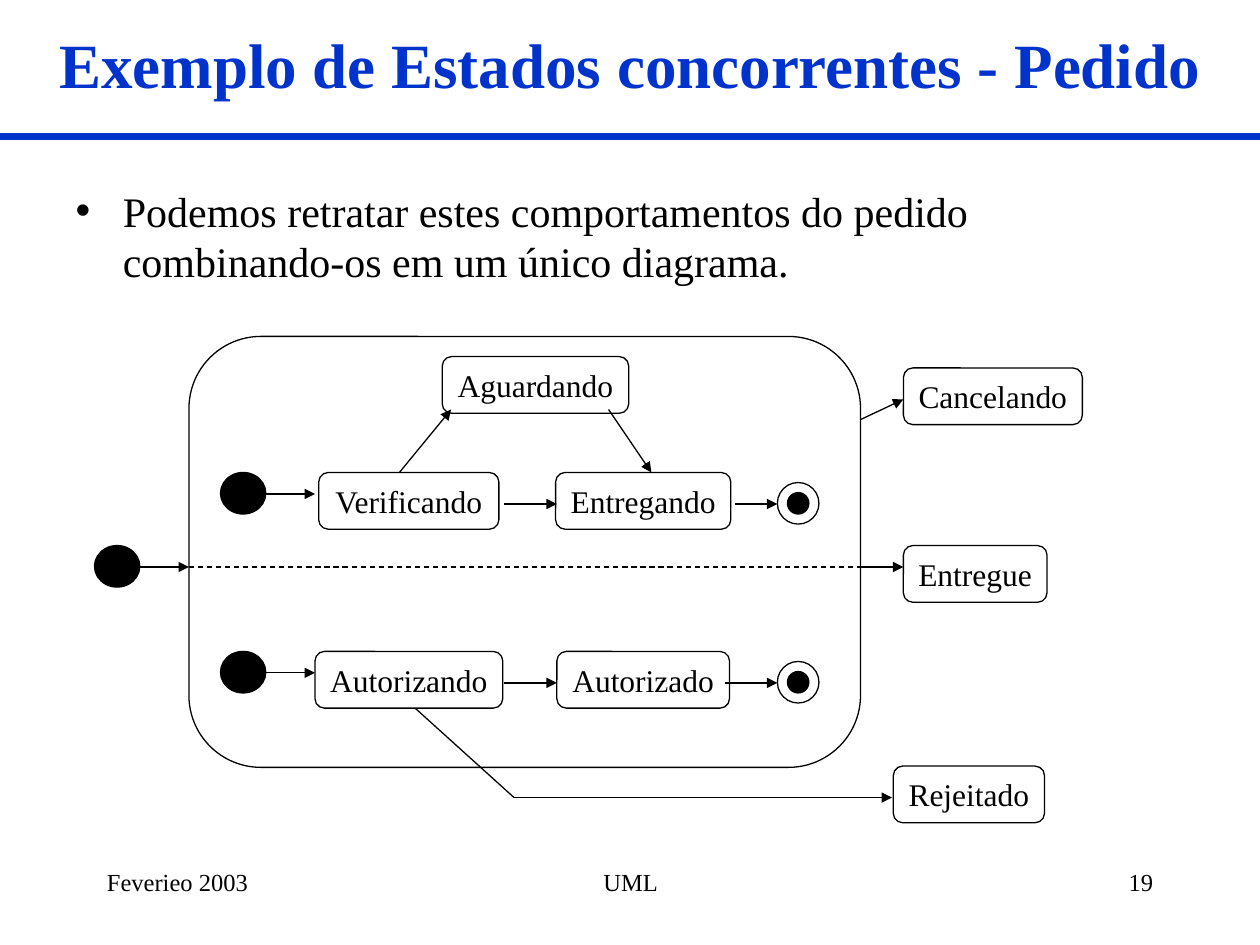
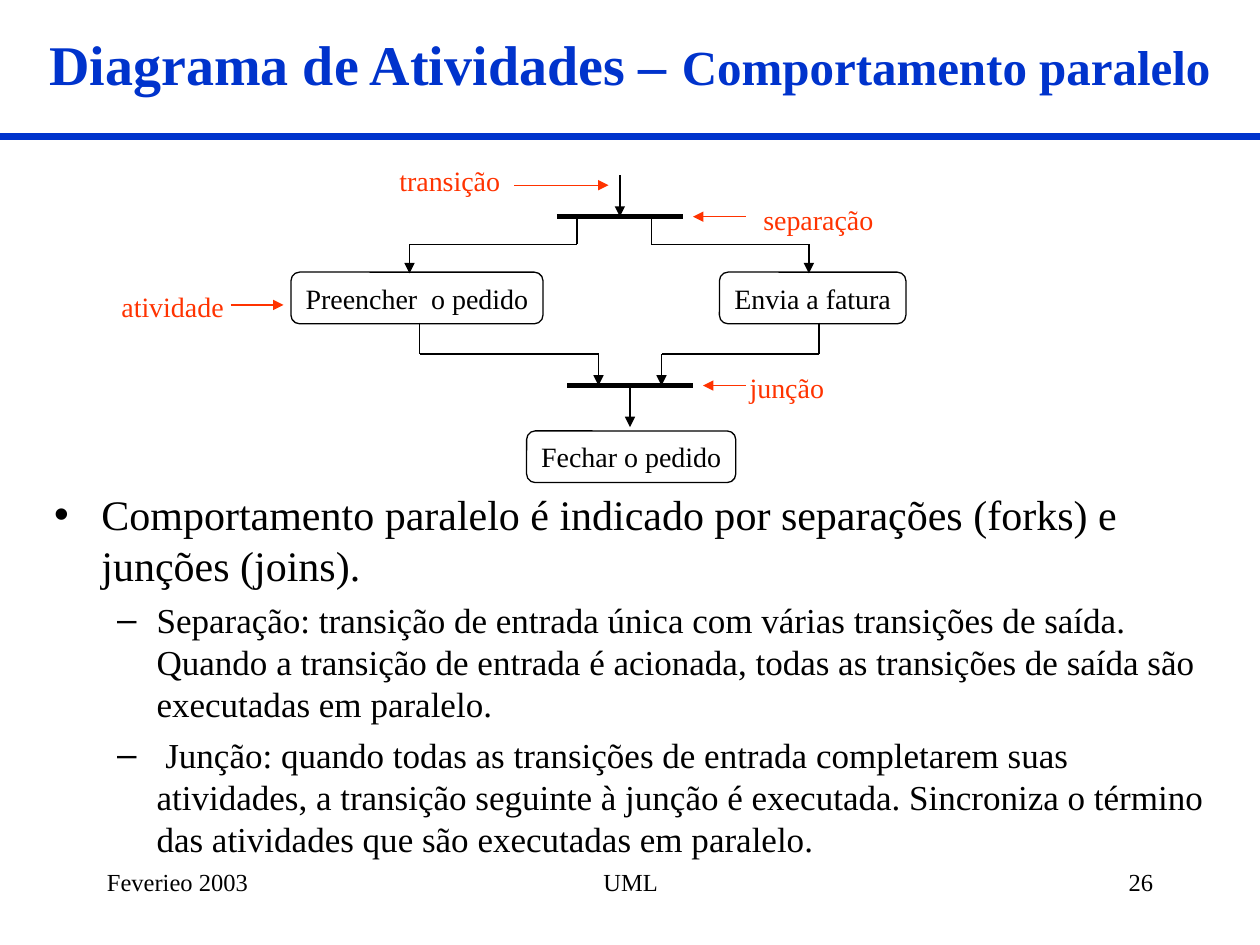
from pptx import Presentation
from pptx.dml.color import RGBColor
from pptx.enum import dml, shapes, text
from pptx.oxml.ns import qn
from pptx.util import Inches, Pt
from lxml import etree

COLORS = {"blue": "0033CC", "black": "000000", "red": "FF3300", "white": "FFFFFF"}
FONT = "Times New Roman"
LEFT, CENTER, RIGHT = text.PP_ALIGN.LEFT, text.PP_ALIGN.CENTER, text.PP_ALIGN.RIGHT
BOX_H = {18: 0.45, 16: 0.41}


def rgb(name):
    return RGBColor.from_string(COLORS[name])


# Text
def write(p, content, size=18, color="black", bold=False, align=None):
    r = p.add_run()
    r.text = content
    r.font.name, r.font.size, r.font.bold = FONT, Pt(size), bold
    r.font.color.rgb = rgb(color)
    if align is not None:
        p.alignment = align


def place(sp, x, y, w, h):
    sp.left, sp.top, sp.width, sp.height = map(Inches, (x, y, w, h))


def set_frame(sp, anchor, wrap=True):
    tf = sp.text_frame
    tf.word_wrap, tf.vertical_anchor = wrap, anchor
    tf.auto_size = text.MSO_AUTO_SIZE.NONE
    tf.margin_left = tf.margin_right = Inches(0.1)
    tf.margin_top = tf.margin_bottom = Inches(0.05)
    return tf


def add_label(s, content, x, y, w, h=0.37, **fmt):
    sp = s.shapes.add_textbox(*map(Inches, (x, y, w, h)))
    tf = set_frame(sp, text.MSO_ANCHOR.TOP)
    write(tf.paragraphs[0], content, **fmt)


def add_body(s, items, *box):
    sp = s.placeholders[1]
    place(sp, *box)
    tf = set_frame(sp, text.MSO_ANCHOR.TOP)
    for i, (level, content) in enumerate(items):
        p = tf.add_paragraph() if i else tf.paragraphs[0]
        p.level = level
        p.space_before = Pt(6 - level)
        write(p, content, size=24 - 4 * level)


# Shapes and lines
def add_outline(s, kind, x, y, w, h, fill=None):
    sp = s.shapes.add_shape(kind, *map(Inches, (x, y, w, h)))
    sp.shadow.inherit = False
    if fill:
        sp.fill.solid()
        sp.fill.fore_color.rgb = rgb(fill)
    else:
        sp.fill.background()
    sp.line.color.rgb = rgb("black")
    sp.line.width = Pt(0.75)
    return sp


def add_rounded(s, *box, fill=None):
    sp = add_outline(s, shapes.MSO_SHAPE.ROUNDED_RECTANGLE, *box, fill=fill)
    sp.adjustments[0] = 0.167
    return sp


def add_state(s, content, x, y, w, size=18, fill=None):
    sp = add_rounded(s, x, y, w, BOX_H[size], fill=fill)
    tf = set_frame(sp, text.MSO_ANCHOR.MIDDLE, wrap=False)
    write(tf.paragraphs[0], content, size=size, align=CENTER)


def add_start(s, x, y):
    add_outline(s, shapes.MSO_SHAPE.OVAL, x, y, 0.36, 0.33, fill="black")


def add_end(s, x, y):
    add_outline(s, shapes.MSO_SHAPE.OVAL, x + 0.08, y + 0.08, 0.17, 0.17, fill="black")
    add_outline(s, shapes.MSO_SHAPE.OVAL, x, y, 0.33, 0.33)


def add_line(s, start, end, color="black", width=0.75, arrow=False, dashed=False):
    c = s.shapes.add_connector(shapes.MSO_CONNECTOR.STRAIGHT,
                               *map(Inches, (*start, *end)))
    c.line.color.rgb = rgb(color)
    c.line.width = Pt(width)
    if dashed:
        c.line.dash_style = dml.MSO_LINE.DASH
    if arrow:
        etree.SubElement(c.line._get_or_add_ln(), qn("a:tailEnd"), type="triangle")
    etree.SubElement(c._element.spPr, qn("a:effectLst"))


def add_route(s, *points, color="black"):
    """Join the points with lines and end in an arrowhead."""
    for i in range(1, len(points)):
        add_line(s, points[i - 1], points[i], color, arrow=i == len(points) - 1)


# Parts common to both slides
def add_slide(prs, title_runs, number):
    s = prs.slides.add_slide(prs.slide_layouts[1])
    add_line(s, (0, 1.08), (10, 1.08), "blue", 4)
    place(s.shapes.title, 0, 0, 10, 1)
    tf = set_frame(s.shapes.title, text.MSO_ANCHOR.MIDDLE)
    for content, size in title_runs:
        write(tf.paragraphs[0], content, size=size, color="blue", bold=True, align=CENTER)
    for content, x, w, align in (("Feverieo 2003", 0.75, 2.08, LEFT),
                                 ("UML", 3.42, 3.17, CENTER),
                                 (str(number), 7.17, 2.08, RIGHT)):
        add_label(s, content, x, 6.83, w, 0.5, size=14, align=align)
    return s


def build_states(prs):
    s = add_slide(prs, [("Exemplo de Estados concorrentes - Pedido", 36)], 19)
    add_body(s, [(0, "Podemos retratar estes comportamentos do pedido "
                     "combinando-os em um único diagrama.")], 0.5, 1.42, 9, 1.17)

    # Composite state with its two concurrent regions
    add_rounded(s, 1.5, 2.67, 5.33, 3.42)
    add_line(s, (1.5, 4.5), (6.83, 4.5), dashed=True)
    for y, exit_x in ((3.75, 5.83), (5.17, 5.75)):
        add_start(s, 1.75, y)
        add_end(s, 6.17, y + 0.08)
        add_route(s, (2.08, y + 0.17), (2.5, y + 0.17))
        add_route(s, (4, y + 0.25), (4.42, y + 0.25))
        add_route(s, (exit_x, y + 0.25), (6.17, y + 0.25))

    # Transitions between states
    add_start(s, 0.75, 4.33)
    for points in (((3.17, 3.75), (3.58, 3.25)),
                   ((4.83, 3.25), (5.17, 3.75)),
                   ((1.08, 4.5), (1.5, 4.5)),
                   ((6.83, 4.5), (7.17, 4.5)),
                   ((6.83, 3.33), (7.17, 3.17)),
                   ((3.25, 5.58), (4.08, 6.33), (7.08, 6.33))):
        add_route(s, *points)

    # States
    for content, x, y, w in (("Aguardando", 3.51, 2.83, 1.48),
                             ("Verificando", 2.53, 3.75, 1.43),
                             ("Entregando", 4.41, 3.75, 1.39),
                             ("Autorizado", 4.42, 5.17, 1.37),
                             ("Cancelando", 7.17, 2.92, 1.42),
                             ("Entregue", 7.17, 4.33, 1.14),
                             ("Rejeitado", 7.09, 6.08, 1.2)):
        add_state(s, content, x, y, w)
    add_state(s, "Autorizando", 2.5, 5.17, 1.49, fill="white")


def build_activities(prs):
    s = add_slide(prs, [("Diagrama de Atividades – ", 32),
                        ("Comportamento paralelo", 28)], 26)
    add_body(s, [
        (0, "Comportamento paralelo é indicado por separações (forks) e junções (joins)."),
        (1, "Separação: transição de entrada única com várias transições de saída. "
            "Quando a transição de entrada é acionada, todas as transições de saída "
            "são executadas em paralelo."),
        (1, " Junção: quando todas as transições de entrada completarem suas atividades, "
            "a transição seguinte à junção é executada. Sincroniza o término das "
            "atividades que são executadas em paralelo."),
    ], 0.33, 3.83, 9.42, 3.08)

    # Activities
    for content, x, y, w in (("Preencher  o pedido", 2.31, 2.16, 2),
                             ("Envia a fatura", 5.71, 2.16, 1.48),
                             ("Fechar o pedido", 4.18, 3.42, 1.66)):
        add_state(s, content, x, y, w, size=16)

    # Fork and join bars with their transitions
    fork_y, join_y = 1.72, 3.06
    for x, y in ((4.42, fork_y), (4.5, join_y)):
        add_line(s, (x, y), (x + 1, y), width=3)
    add_route(s, (4.92, 1.39), (4.92, fork_y))
    add_route(s, (5, join_y), (5, 3.39))
    for bar_x, box_x in ((4.58, 3.25), (5.17, 6.42)):
        add_route(s, (bar_x, fork_y), (bar_x, 1.94), (box_x, 1.94), (box_x, 2.17))
    for box_x, bar_x in ((3.33, 4.75), (6.5, 5.25)):
        add_route(s, (box_x, 2.56), (box_x, 2.81), (bar_x, 2.81), (bar_x, join_y))

    # Red callouts: label box, then arrow
    for content, x, y, w, start_x, end_x, arrow_y in (
            ("transição", 3.07, 1.25, 1, 4.08, 4.83, 1.47),
            ("separação", 5.83, 1.56, 1.33, 5.92, 5.5, fork_y),
            ("atividade", 0.83, 2.25, 1.08, 1.83, 2.25, 2.42),
            ("junção", 5.83, 2.89, 0.83, 5.92, 5.58, join_y)):
        add_label(s, content, x, y, w, size=16, color="red", align=CENTER)
        add_route(s, (start_x, arrow_y), (end_x, arrow_y), color="red")


def main():
    prs = Presentation()
    prs.slide_width, prs.slide_height = Inches(10), Inches(7.5)
    build_states(prs)
    build_activities(prs)
    prs.save("out.pptx")


if __name__ == "__main__":
    main()
